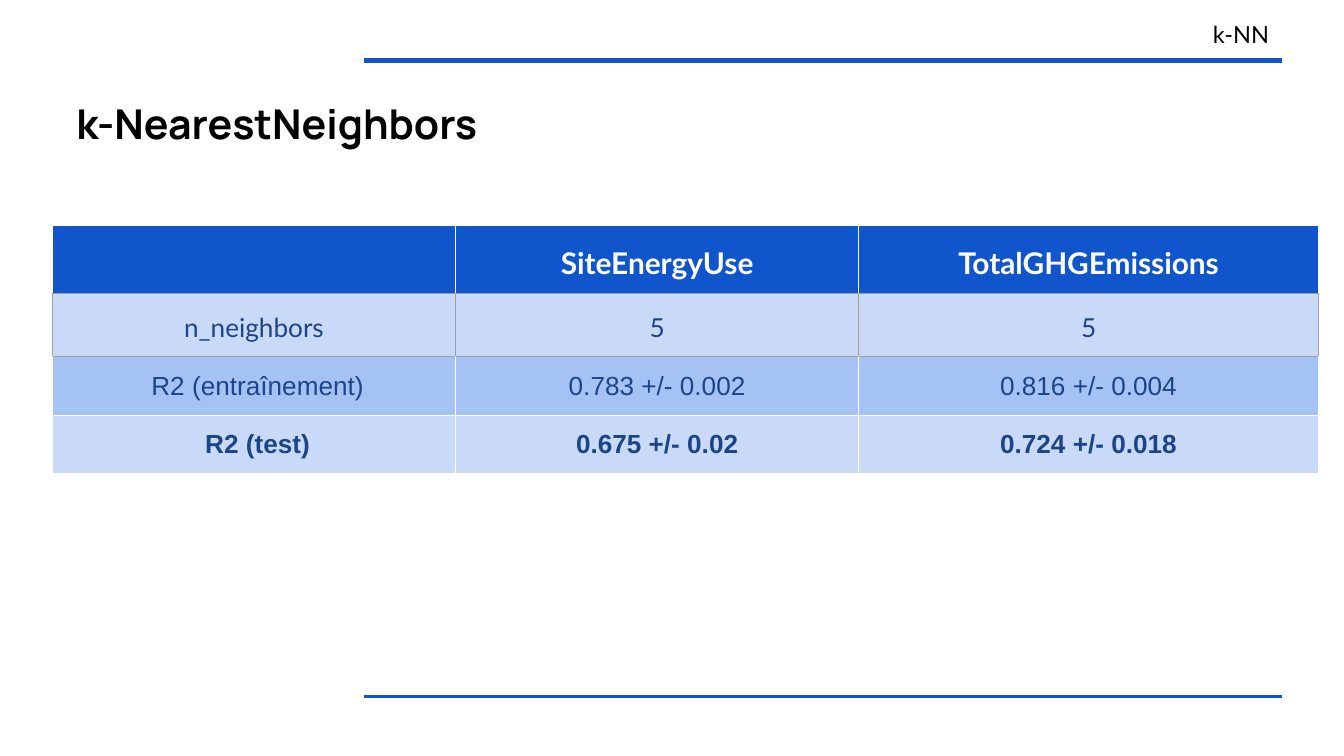
from lxml.etree import SubElement
from pptx import Presentation
from pptx.dml.color import RGBColor
from pptx.enum.shapes import MSO_CONNECTOR
from pptx.enum.text import MSO_ANCHOR, PP_ALIGN
from pptx.oxml.ns import qn
from pptx.util import Inches, Pt

BLUE, NAVY, PALE, MID = "1155CC", "1C4587", "C9DAF8", "A4C2F4"
WHITE, GREY, BLACK = "FFFFFF", "9E9E9E", "000000"

TITLE, SECTION = "k-NearestNeighbors", "k-NN"
RULES = [(0.45, 3), (5.18, 1.5)]  # height on the page, line width
RULE_LEFT, RULE_RIGHT = 2.71, 9.54

TABLE_LEFT, TABLE_TOP = 0.39, 1.68
COLUMN_WIDTHS = [3, 3, 3.42]
LATO_SPACING = dict(line_spacing=1.15, space_after=12)
# Row heights are minimums: each row grows to fit its text.
ROWS = [
    dict(texts=["", "SiteEnergyUse", "TotalGHGEmissions"], height=0.31, fill=BLUE,
         edges=dict(L=WHITE, R=WHITE, T=WHITE, B=GREY),
         style=dict(size=16, font="Lato", color=WHITE, bold=True, **LATO_SPACING)),
    dict(texts=["n_neighbors", "5", "5"], height=0.3, fill=PALE,
         edges=dict(L=GREY, R=GREY, T=GREY, B=GREY),
         style=dict(size=14, font="Lato", color=NAVY, **LATO_SPACING)),
    dict(texts=[" R2 (entraînement)", "0.783 +/- 0.002", "0.816 +/- 0.004"],
         height=0.24, fill=MID,
         edges=dict(L=WHITE, R=WHITE, T=GREY, B=WHITE),
         style=dict(size=14, font="Arial", color=NAVY)),
    dict(texts=[" R2 (test)", "0.675 +/- 0.02", "0.724 +/- 0.018"],
         height=0.17, fill=PALE,
         edges=dict(L=WHITE, R=WHITE, T=WHITE, B=WHITE),
         style=dict(size=14, font="Arial", color=NAVY, bold=True)),
]


def rgb(value):
    return RGBColor.from_string(value)


def write(frame, text, size, font, color, bold=False, align=PP_ALIGN.LEFT,
          line_spacing=None, space_after=None):
    para = frame.paragraphs[0]
    para.alignment = align
    if line_spacing:
        para.line_spacing = line_spacing
    if space_after:
        para.space_after = Pt(space_after)
    span = para.add_run()
    span.text = text
    span.font.size, span.font.name, span.font.bold = Pt(size), font, bold
    span.font.color.rgb = rgb(color)


def set_margins(target):
    target.margin_left = target.margin_right = Inches(0.1)
    target.margin_top = target.margin_bottom = Inches(0.1)


def add_text(page, text, left, top, width, height, **style):
    frame = page.shapes.add_textbox(*map(Inches, (left, top, width, height))).text_frame
    frame.word_wrap = True
    frame.vertical_anchor = MSO_ANCHOR.TOP
    set_margins(frame)
    write(frame, text, **style)


def add_rule(page, y, width):
    rule = page.shapes.add_connector(MSO_CONNECTOR.STRAIGHT, Inches(RULE_LEFT), Inches(y),
                                     Inches(RULE_RIGHT), Inches(y))
    rule.line.color.rgb = rgb(BLUE)
    rule.line.width = Pt(width)
    SubElement(rule._element.spPr, qn("a:effectLst"))


def set_borders(cell, edges):
    """Put the border lines before the fill, as the schema orders them."""
    properties = cell._tc.get_or_add_tcPr()
    for position, (side, color) in enumerate(edges.items()):
        line = SubElement(properties, qn(f"a:ln{side}"), w=str(Pt(0.75)))
        fill = SubElement(line, qn("a:solidFill"))
        SubElement(fill, qn("a:srgbClr"), val=color)
        properties.insert(position, line)


def add_results(page):
    height = sum(row["height"] for row in ROWS)
    table = page.shapes.add_table(
        len(ROWS), len(COLUMN_WIDTHS), Inches(TABLE_LEFT), Inches(TABLE_TOP),
        Inches(sum(COLUMN_WIDTHS)), Inches(height)).table
    table.first_row = table.horz_banding = False
    for column, width in zip(table.columns, COLUMN_WIDTHS):
        column.width = Inches(width)
    for table_row, row in zip(table.rows, ROWS):
        table_row.height = Inches(row["height"])
        for cell, text in zip(table_row.cells, row["texts"]):
            cell.fill.solid()
            cell.fill.fore_color.rgb = rgb(row["fill"])
            cell.vertical_anchor = MSO_ANCHOR.MIDDLE
            set_margins(cell)
            set_borders(cell, row["edges"])
            write(cell.text_frame, text, align=PP_ALIGN.CENTER, **row["style"])


def main():
    deck = Presentation()
    deck.slide_width = Inches(10)
    deck.slide_height = deck.slide_width * 9 // 16
    page = deck.slides.add_slide(deck.slide_layouts[6])
    for y, width in RULES:
        add_rule(page, y, width)
    add_text(page, TITLE, 0.47, 0.63, 9.07, 0.69,
             size=22, font="Manrope", color=BLACK, bold=True)
    add_text(page, SECTION, RULE_LEFT, 0.05, RULE_RIGHT - RULE_LEFT, 0.33,
             size=12.6, font="Lato", color=BLACK, align=PP_ALIGN.RIGHT)
    add_results(page)
    deck.save("out.pptx")


if __name__ == "__main__":
    main()
